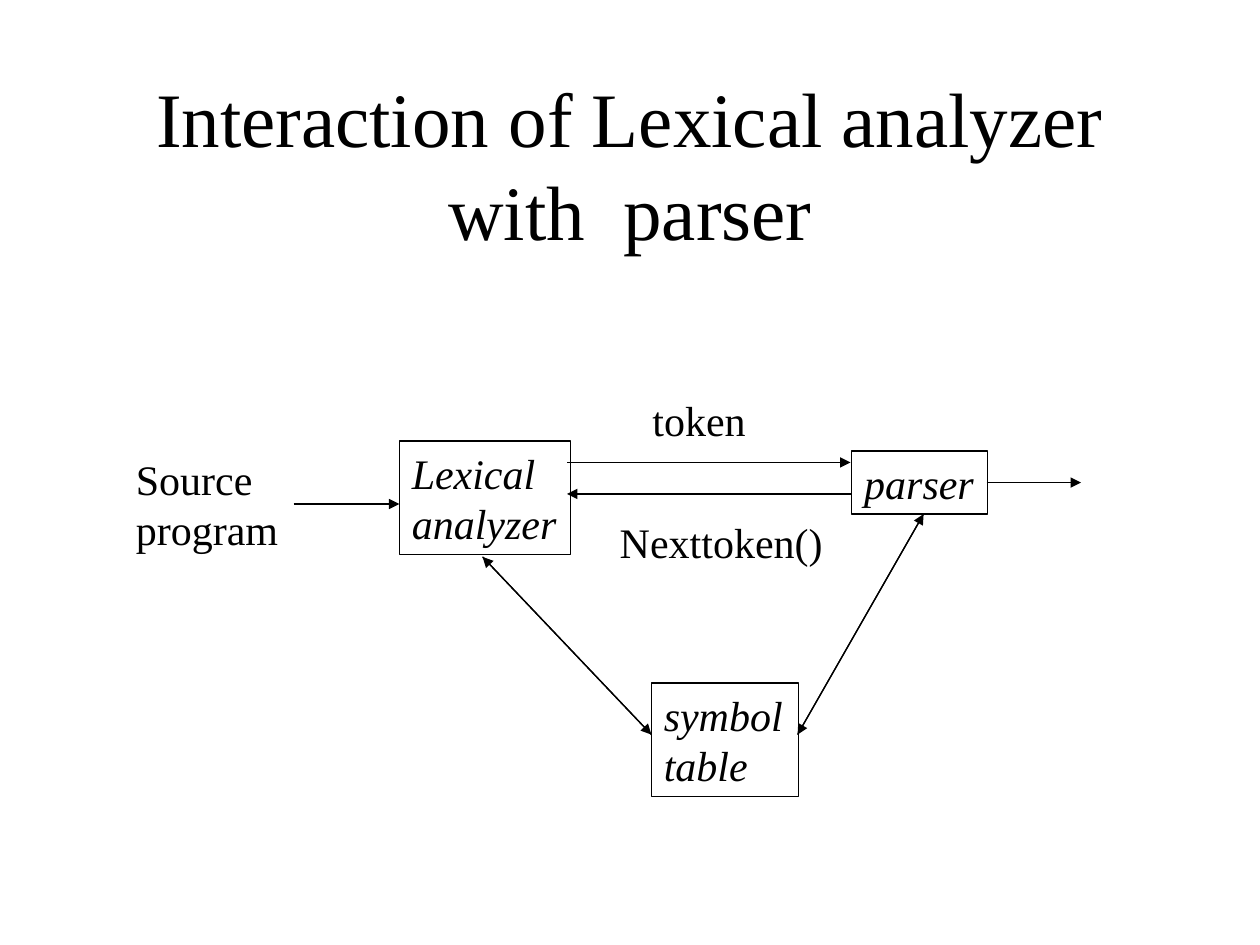
import dataclasses

import pptx
import pptx.dml.color
import pptx.enum.dml
import pptx.enum.shapes
import pptx.enum.text
import pptx.oxml
import pptx.oxml.ns
import pptx.util
from pptx.util import Inches


@dataclasses.dataclass(frozen=True)
class Theme:
    """Colours, font and sizes of the slide."""
    ink: pptx.dml.color.RGBColor = pptx.dml.color.RGBColor(0, 0, 0)
    font: str = "Times New Roman"
    title_size: pptx.util.Pt = pptx.util.Pt(44)
    body_size: pptx.util.Pt = pptx.util.Pt(24)
    line_width: pptx.util.Pt = pptx.util.Pt(0.75)


THEME = Theme()
STAGES = [
    (["Lexical", "analyzer"], (2.17, 0.5, 1.36, 0.9)),
    (["symbol", "table"], (4.17, 2.42, 1.17, 0.9)),
    (["parser"], (5.76, 0.58, 1.08, 0.5)),
]
LABELS = [
    (["Source", "program"], (-0.02, 0.55, 1.34, 0.9)),
    (["token"], (4.08, 0.08, 0.95, 0.5)),
    (["Nexttoken()"], (3.82, 1.05, 1.82, 0.5)),
]
ONE_WAY = [
    ((1.33, 1), (2.17, 1)),
    ((3.5, 0.67), (5.75, 0.67)),
    ((5.75, 0.92), (3.5, 0.92)),
    ((6.83, 0.83), (7.58, 0.83)),
]
TWO_WAY = [
    ((2.83, 1.42), (4.17, 2.83)),
    ((5.33, 2.83), (6.33, 1.08)),
]


def apply_format(target, values):
    """Set each attribute named in a dict."""
    for name, value in values.items():
        setattr(target, name, value)


def write_text(text_frame, lines, size, alignment, frame_format, italic=False):
    """Write one formatted paragraph for each line."""
    apply_format(text_frame, frame_format)
    for index, line in enumerate(lines):
        paragraph = text_frame.add_paragraph() if index else text_frame.paragraphs[0]
        paragraph.alignment = alignment
        run = paragraph.add_run()
        run.text = line
        apply_format(run.font, {"name": THEME.font, "size": size, "italic": italic})
        run.font.color.rgb = THEME.ink


def draw_outline(line):
    """Give a line the theme's colour and width."""
    line.color.rgb = THEME.ink
    line.width = THEME.line_width


def add_title(slide, box, text):
    """Place and format the title placeholder in its box."""
    title = slide.shapes.title
    apply_format(title, dict(zip(("left", "top", "width", "height"), box)))
    write_text(title.text_frame, [text], THEME.title_size, pptx.enum.text.PP_ALIGN.CENTER, {
        "word_wrap": True,
        "auto_size": pptx.enum.text.MSO_AUTO_SIZE.NONE,
        "vertical_anchor": pptx.enum.text.MSO_ANCHOR.MIDDLE,
    })


def add_block(slide, origin, lines, place, outlined):
    """Add an outlined stage or a plain label at a place in the diagram."""
    left, top, width, height = map(Inches, place)
    bounds = (origin[0] + left, origin[1] + top, width, height)
    if outlined:
        shape = slide.shapes.add_shape(pptx.enum.shapes.MSO_SHAPE.RECTANGLE, *bounds)
        shape.shadow.inherit = False
        shape.fill.background()
        draw_outline(shape.line)
    else:
        shape = slide.shapes.add_textbox(*bounds)
    write_text(shape.text_frame, lines, THEME.body_size, pptx.enum.text.PP_ALIGN.LEFT, {
        "word_wrap": False,
        "auto_size": pptx.enum.text.MSO_AUTO_SIZE.SHAPE_TO_FIT_TEXT,
        "vertical_anchor": pptx.enum.text.MSO_ANCHOR.TOP,
    }, italic=outlined)


def add_arrow(slide, origin, start, end):
    """Add a straight arrow between two points of the diagram."""
    points = [base + Inches(offset) for point in (start, end)
              for base, offset in zip(origin, point)]
    arrow = slide.shapes.add_connector(pptx.enum.shapes.MSO_CONNECTOR.STRAIGHT, *points)
    draw_outline(arrow.line)
    properties = arrow._element.spPr
    head = pptx.oxml.parse_xml(f'<a:tailEnd {pptx.oxml.ns.nsdecls("a")} type="triangle"/>')
    properties.find(pptx.oxml.ns.qn("a:ln")).append(head)
    properties.append(pptx.oxml.parse_xml(f'<a:effectLst {pptx.oxml.ns.nsdecls("a")}/>'))


def add_diagram(slide, origin):
    """Draw the stages, labels and arrows from the diagram's top left corner."""
    for blocks, outlined in ((STAGES, True), (LABELS, False)):
        for lines, place in blocks:
            add_block(slide, origin, lines, place, outlined)
    returns = [(end, start) for start, end in TWO_WAY]
    for start, end in ONE_WAY + TWO_WAY + returns:
        add_arrow(slide, origin, start, end)


def main():
    """Build and save the slide."""
    presentation = pptx.Presentation()
    apply_format(presentation, {"slide_width": Inches(10), "slide_height": Inches(7.5)})
    slide = presentation.slides.add_slide(presentation.slide_layouts.get_by_name("Title Only"))
    title_box = tuple(map(Inches, (0.75, 0.67, 8.5, 1.25)))
    add_title(slide, title_box, "Interaction of Lexical analyzer with  parser")
    add_diagram(slide, (Inches(1), Inches(3)))
    presentation.save("out.pptx")


if __name__ == "__main__":
    main()
